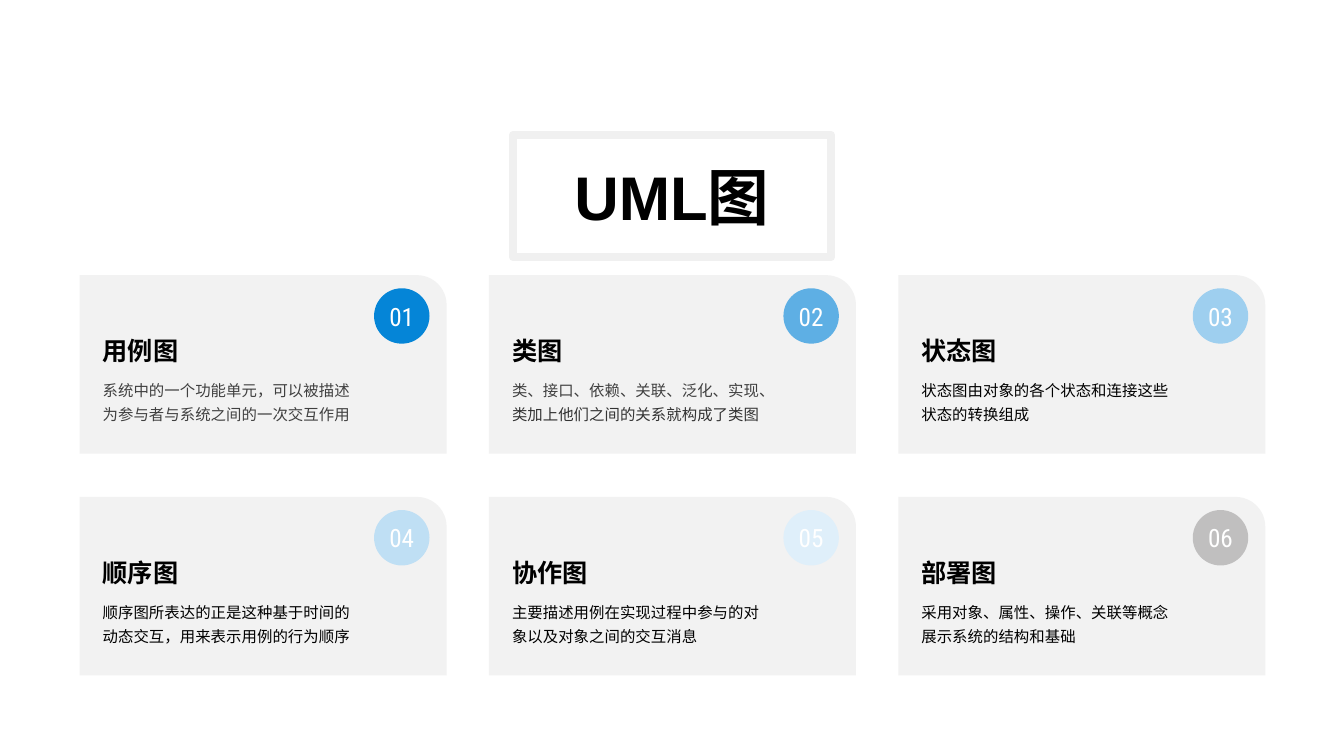
from lxml.etree import SubElement
from pptx import Presentation
from pptx.dml.color import RGBColor
from pptx.enum.shapes import MSO_SHAPE
from pptx.enum.text import MSO_ANCHOR, MSO_AUTO_SIZE, PP_ALIGN
from pptx.oxml.ns import qn
from pptx.util import Inches, Pt

BLACK = RGBColor(0x00, 0x00, 0x00)
WHITE = RGBColor(0xFF, 0xFF, 0xFF)
DARK_GRAY = RGBColor(0x40, 0x40, 0x40)
CHARCOAL = RGBColor(0x33, 0x33, 0x33)
FRAME_GRAY = RGBColor(0xF0, 0xF0, 0xF0)
CARD_GRAY = RGBColor(0xF2, 0xF2, 0xF2)
BADGE_COLORS = [
    RGBColor(0x05, 0x85, 0xD7),
    RGBColor(0x5E, 0xAF, 0xE4),
    RGBColor(0x9E, 0xCF, 0xEF),
    RGBColor(0xBF, 0xDF, 0xF4),
    RGBColor(0xDF, 0xEF, 0xFA),
    RGBColor(0xC0, 0xBF, 0xBF),
]

DIAGRAMS = [
    ("用例图", [("系统中的一个功能单元，可以被描述为参与者与系统之间的一次交互作用", "Arial", DARK_GRAY)]),
    ("类图", [
        ("类、接口、依赖、关联、泛化、实现、", "Arial", DARK_GRAY),
        ("类加上他们之间的关系就构成了类图", "Roboto", CHARCOAL),
    ]),
    ("状态图", [("状态图由对象的各个状态和连接这些状态的转换组成", "Arial", BLACK)]),
    ("顺序图", [("顺序图所表达的正是这种基于时间的动态交互，用来表示用例的行为顺序", "Arial", BLACK)]),
    ("协作图", [("主要描述用例在实现过程中参与的对象以及对象之间的交互消息", "Arial", BLACK)]),
    ("部署图", [("采用对象、属性、操作、关联等概念展示系统的结构和基础", "Arial", BLACK)]),
]

COLUMNS = 3
CARD_WIDTH, CARD_HEIGHT = 3.64, 1.77
COLUMN_STEP, ROW_STEP = 4.06, 2.2


def style_paragraph(para, text, font_name, size, color, bold=False):
    para.text = text
    para.font.name = font_name
    para.font.size = Pt(size)
    para.font.bold = bold
    para.font.color.rgb = color


def add_filled_shape(page, kind, left, top, width, height, color):
    shape = page.shapes.add_shape(
        kind, Inches(left), Inches(top), Inches(width), Inches(height))
    shape.shadow.inherit = False
    shape.fill.solid()
    shape.fill.fore_color.rgb = color
    shape.line.fill.background()
    return shape


def add_text_frame(page, left, top, width, height):
    box = page.shapes.add_textbox(
        Inches(left), Inches(top), Inches(width), Inches(height))
    return box.text_frame


def add_framed_title(page, left, top, width, height):
    frame = page.shapes.add_shape(
        MSO_SHAPE.RECTANGLE, Inches(left), Inches(top), Inches(width), Inches(height))
    frame.shadow.inherit = False
    frame.fill.background()
    frame.line.color.rgb = FRAME_GRAY
    frame.line.width = Pt(6)
    SubElement(frame.element.spPr.find(qn("a:ln")), qn("a:round"))

    title = page.shapes.title
    title.left, title.top = Inches(left), Inches(top)
    title.width, title.height = Inches(width), Inches(height)
    title_text = title.text_frame
    title_text.auto_size = MSO_AUTO_SIZE.NONE
    title_text.vertical_anchor = MSO_ANCHOR.MIDDLE
    para = title_text.paragraphs[0]
    style_paragraph(para, "UML图", "Arial", 44, BLACK, bold=True)
    para.alignment = PP_ALIGN.CENTER


def add_badge(page, left, top, size, number, color):
    badge = add_filled_shape(page, MSO_SHAPE.OVAL, left, top, size, size, color)
    badge_text = badge.text_frame
    badge_text.word_wrap = False
    badge_text.vertical_anchor = MSO_ANCHOR.MIDDLE
    para = badge_text.paragraphs[0]
    style_paragraph(para, f"{number:02d}", "Roboto Condensed", 18, WHITE)
    para.alignment = PP_ALIGN.CENTER


def add_card(page, left, top, number, heading, lines, color):
    add_filled_shape(page, MSO_SHAPE.ROUND_1_RECTANGLE,
                     left, top, CARD_WIDTH, CARD_HEIGHT, CARD_GRAY)
    add_badge(page, left + 2.92, top + 0.13, 0.55, number, color)

    heading_text = add_text_frame(page, left + 0.13, top + 0.53, 2.69, 0.42)
    heading_text.word_wrap = True
    heading_text.vertical_anchor = MSO_ANCHOR.BOTTOM
    style_paragraph(heading_text.paragraphs[0], heading, "Arial", 18, BLACK, bold=True)

    body_text = add_text_frame(page, left + 0.13, top + 0.95, 2.69, 0.61)
    body_text.word_wrap = True
    for index, (line, font_name, line_color) in enumerate(lines):
        para = body_text.add_paragraph() if index else body_text.paragraphs[0]
        style_paragraph(para, line, font_name, 11, line_color)
        para.line_spacing = 1.3


def add_card_grid(page, left, top):
    for index, ((heading, lines), color) in enumerate(zip(DIAGRAMS, BADGE_COLORS)):
        row, column = divmod(index, COLUMNS)
        add_card(page, left + column * COLUMN_STEP, top + row * ROW_STEP,
                 index + 1, heading, lines, color)


def main():
    deck = Presentation()
    deck.slide_width, deck.slide_height = Inches(13.33), Inches(7.5)
    page = deck.slides.add_slide(deck.slide_layouts[5])
    add_framed_title(page, 5.09, 1.34, 3.15, 1.21)
    add_card_grid(page, 0.79, 2.73)
    deck.save("out.pptx")


if __name__ == "__main__":
    main()
